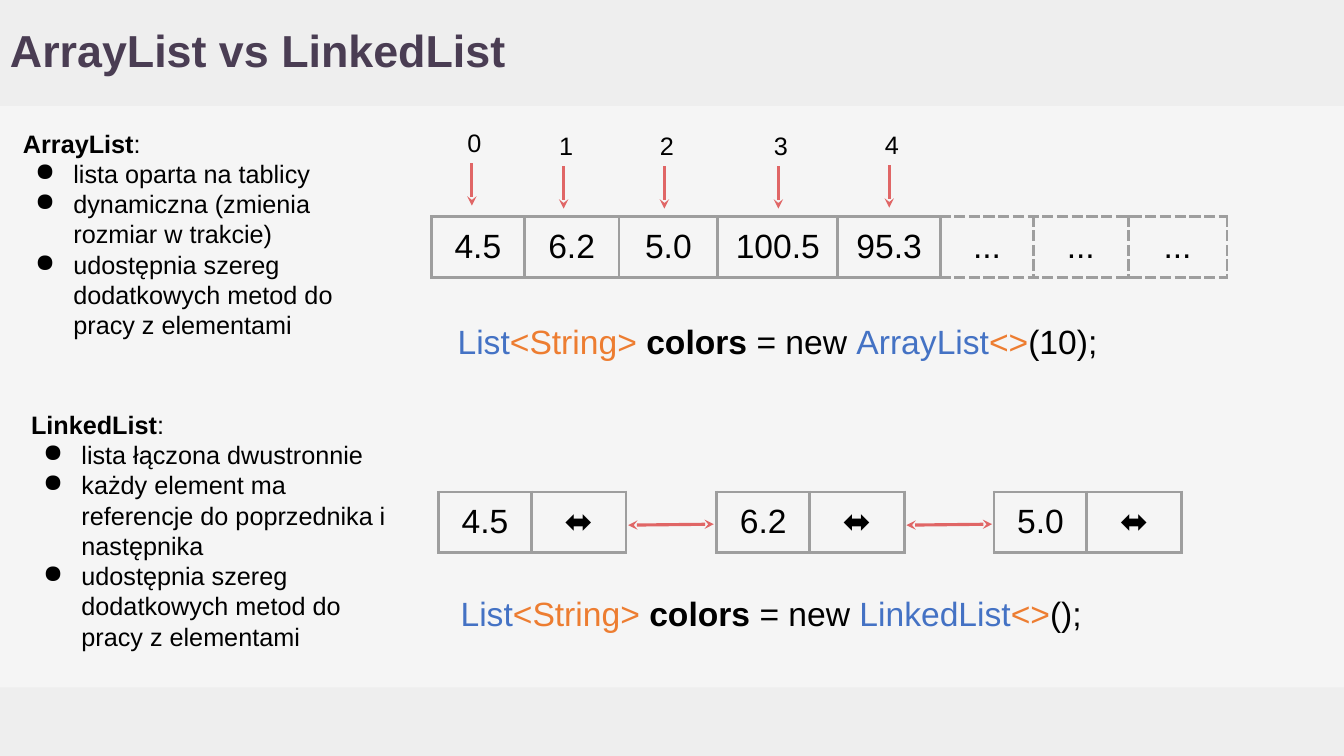
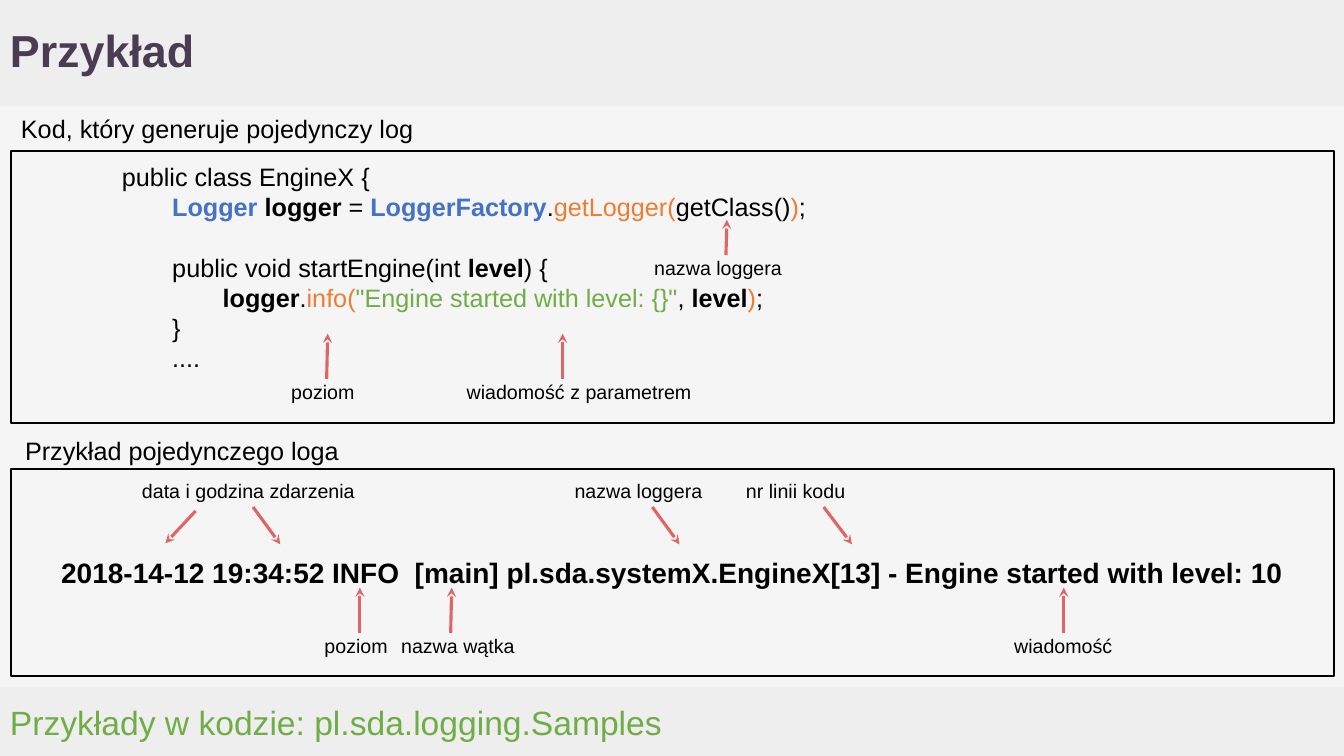
"""Build two slides on Java lists and logging."""
from lxml import etree
from pptx import Presentation
from pptx.dml.color import RGBColor
from pptx.enum.shapes import MSO_CONNECTOR, MSO_SHAPE
from pptx.enum.text import MSO_ANCHOR, PP_ALIGN
from pptx.oxml.ns import qn
from pptx.util import Pt

PX = 9144
WIDTH, HEIGHT = 1333, 750
FONT = "Arial"
COLORS = {
    "page": "F5F5F5", "band": "EEEEEE", "title": "4A3D53", "text": "000000",
    "arrow": "E06666", "grid": "9E9E9E", "blue": "4472C4", "orange": "ED7D31",
    "green": "70AD47",
}
RGB = {name: RGBColor.from_string(value) for name, value in COLORS.items()}
LEFT, CENTER = PP_ALIGN.LEFT, PP_ALIGN.CENTER
TOP, MIDDLE = MSO_ANCHOR.TOP, MSO_ANCHOR.MIDDLE
RECTANGLE, STRAIGHT = MSO_SHAPE.RECTANGLE, MSO_CONNECTOR.STRAIGHT


def write(frame, lines, size, color="text", bold=False, align=LEFT, anchor=TOP,
          indent=0, bullets=False):
    """Fill a frame; a line is a string or a list of (text, color, bold) runs."""
    frame.word_wrap = True
    frame.vertical_anchor = anchor
    frame.margin_left = frame.margin_right = 10 * PX
    frame.margin_top = frame.margin_bottom = 10 * PX
    for number, line in enumerate(lines):
        paragraph = frame.add_paragraph() if number else frame.paragraphs[0]
        paragraph.alignment = align
        properties = paragraph._p.get_or_add_pPr()
        if indent:
            properties.set("marL", str(indent * PX))
        if bullets and number:
            properties.set("marL", str(50 * PX))
            properties.set("indent", str(-38 * PX))
            bullet_color = etree.SubElement(properties, qn("a:buClr"))
            etree.SubElement(bullet_color, qn("a:srgbClr"), val=COLORS["text"])
            etree.SubElement(properties, qn("a:buChar"), char="●")
        font = paragraph.font
        font.name, font.size, font.bold = FONT, Pt(size), bold
        font.color.rgb = RGB[color]
        if isinstance(line, str):
            if line:
                paragraph.add_run().text = line
            continue
        for text, run_color, run_bold in line:
            run = paragraph.add_run()
            run.text = text
            run.font.bold = run_bold
            run.font.color.rgb = RGB[run_color]


def draw_arrow(slide, start_x, start_y, end_x, end_y, ends=("tailEnd",)):
    """Draw a red arrow that points at its end."""
    arrow = slide.shapes.add_connector(
        STRAIGHT, start_x * PX, start_y * PX, end_x * PX, end_y * PX)
    arrow.line.color.rgb = RGB["arrow"]
    arrow.line.width = Pt(2.25)
    properties = arrow._element.spPr
    for end in ends:
        etree.SubElement(properties.find(qn("a:ln")), qn(f"a:{end}"), type="stealth")
    etree.SubElement(properties, qn("a:effectLst"))


prs = Presentation()
prs.slide_width, prs.slide_height = WIDTH * PX, HEIGHT * PX
background = prs.slide_master.background.fill
background.solid()
background.fore_color.rgb = RGB["page"]

slides = []
for title in ("ArrayList vs LinkedList", "Przykład"):
    slide = prs.slides.add_slide(prs.slide_layouts[6])
    for band_top, band_height in ((682, 68), (0, 105)):
        band = slide.shapes.add_shape(
            RECTANGLE, 0, band_top * PX, WIDTH * PX, band_height * PX)
        band.shadow.inherit = False
        band.fill.solid()
        band.fill.fore_color.rgb = RGB["band"]
        band.line.fill.background()
    heading = slide.shapes.add_textbox(0, 0, 1192 * PX, 105 * PX).text_frame
    write(heading, [title], 32, "title", bold=True, anchor=MIDDLE)
    heading.paragraphs[0].line_spacing = 0.9
    slides.append(slide)
lists_slide, logging_slide = slides

SHARED_METHODS = "udostępnia szereg dodatkowych metod do pracy z elementami"
descriptions = [
    (13, 117, 225, "ArrayList",
     ["lista oparta na tablicy", "dynamiczna (zmienia rozmiar w trakcie)"]),
    (21, 396, 271, "LinkedList",
     ["lista łączona dwustronnie",
      "każdy element ma referencje do poprzednika i następnika"]),
]
for left, top, height, name, features in descriptions:
    description = slides[0].shapes.add_textbox(left * PX, top * PX, 376 * PX, height * PX)
    header = [(name, "text", True), (":", "text", False)]
    write(description.text_frame, [header, *features, SHARED_METHODS], 18, bullets=True)

declarations = [(444, 308, "ArrayList", "(10);"), (447, 578, "LinkedList", "();")]
for left, top, name, arguments in declarations:
    declaration = lists_slide.shapes.add_textbox(left * PX, top * PX, 719 * PX, 50 * PX)
    write(declaration.text_frame, [[
        ("List", "blue", False), ("<String> ", "orange", False),
        ("colors ", "text", True), ("= new ", "text", False),
        (name, "blue", False), ("<>", "orange", False), (arguments, "text", False),
    ]], 24)

COLUMN_WIDTHS = [92, 94, 98, 119, 102]
NODE_LEFTS = [435, 711, 986]
arrays = [
    (428, 215, ["4.5", "6.2", "5.0", "100.5", "95.3"], "solid"),
    (933, 215, ["..."] * 3, "dash"),
]
arrays += [(left, 488, [value, "⬌"], "solid")
           for left, value in zip(NODE_LEFTS, ("4.5", "6.2", "5.0"))]
for left, top, values, dash in arrays:
    widths = COLUMN_WIDTHS[:len(values)]
    table = lists_slide.shapes.add_table(
        1, len(values), left * PX, top * PX, sum(widths) * PX, 58 * PX).table
    table.first_row = table.horz_banding = False
    for column, (width, value) in enumerate(zip(widths, values)):
        table.columns[column].width = width * PX
        cell = table.cell(0, column)
        write(cell.text_frame, [value], 24, align=CENTER)
        cell.vertical_anchor = MIDDLE
        cell.margin_left = cell.margin_right = 10 * PX
        cell.margin_top = cell.margin_bottom = 10 * PX
        cell_properties = cell._tc.get_or_add_tcPr()
        for side in ("lnL", "lnR", "lnT", "lnB"):
            border = etree.SubElement(cell_properties, qn(f"a:{side}"), w=str(Pt(2.25)))
            border_fill = etree.SubElement(border, qn("a:solidFill"))
            etree.SubElement(border_fill, qn("a:srgbClr"), val=COLORS["grid"])
            etree.SubElement(border, qn("a:prstDash"), val=dash)
        cell.fill.background()

index_places = [(468, 116), (559, 119), (659, 119), (772, 119), (882, 118)]
for index, (center, top) in enumerate(index_places):
    draw_arrow(lists_slide, center, top + 46, center, top + 88)
    label = lists_slide.shapes.add_textbox(
        (center - 21) * PX, top * PX, 47 * PX, 45 * PX)
    write(label.text_frame, [str(index)], 18, align=CENTER)

for left in NODE_LEFTS[:-1]:
    draw_arrow(lists_slide, left + 188, 521, left + 273, 520, ("headEnd", "tailEnd"))

code = [
    "public class EngineX {",
    [("\tLogger ", "blue", True), ("logger ", "text", True), ("= ", "text", False),
     ("LoggerFactory", "blue", True), (".", "text", False),
     ("getLogger(", "orange", False), ("getClass()", "text", False),
     (")", "orange", False), (";", "text", False)],
    "",
    [("\tpublic void startEngine(int ", "text", False), ("level", "text", True),
     (") {", "text", False)],
    [("\t\tlogger", "text", True), (".", "text", False), ("info(", "orange", False),
     ('"Engine started with level: {}"', "green", False), (", ", "text", False),
     ("level", "text", True), (")", "orange", False), (";", "text", False)],
    "\t}",
    "\t....",
]
log_entry = ["2018-14-12 19:34:52 INFO  [main] pl.sda.systemX.EngineX[13]"
             " - Engine started with level: 10"]
panels = [
    (150, 270, code, {"size": 18, "indent": 100}),
    (465, 206, log_entry,
     {"size": 20, "bold": True, "align": CENTER, "anchor": MIDDLE}),
]
for top, height, lines, style in panels:
    panel = logging_slide.shapes.add_shape(
        RECTANGLE, 11 * PX, top * PX, 1312 * PX, height * PX)
    panel.shadow.inherit = False
    panel.fill.background()
    panel.line.color.rgb = RGB["text"]
    panel.line.width = Pt(1.5)
    write(panel.text_frame, lines, **style)

captions = [
    (11, 102, 436, "Kod, który generuje pojedynczy log", 18, "text"),
    (15, 422, 353, "Przykład pojedynczego loga", 18, "text"),
    (639, 244, 147, "nazwa loggera", 14, "text"),
    (279, 367, 90, "poziom", 14, "text"),
    (453, 367, 254, "wiadomość z parametrem", 14, "text"),
    (131, 465, 237, "data i godzina zdarzenia", 14, "text"),
    (560, 465, 152, "nazwa loggera", 14, "text"),
    (730, 465, 152, "nr linii kodu", 14, "text"),
    (312, 619, 90, "poziom", 14, "text"),
    (388, 619, 139, "nazwa wątka", 14, "text"),
    (996, 619, 124, "wiadomość", 14, "text"),
    (0, 686, 1031, "Przykłady w kodzie: pl.sda.logging.Samples", 24, "green"),
]
for left, top, width, text, size, color in captions:
    caption = logging_slide.shapes.add_textbox(left * PX, top * PX, width * PX, 31 * PX)
    write(caption.text_frame, [text], size, color)

pointers = [
    (720, 253, 721, 218), (324, 376, 325, 331), (558, 376, 558, 331),
    (194, 507, 164, 539), (251, 503, 278, 540), (647, 503, 674, 540),
    (817, 503, 845, 540), (357, 628, 357, 583), (447, 628, 448, 583),
    (1055, 628, 1055, 583),
]
for pointer in pointers:
    draw_arrow(logging_slide, *pointer)

prs.save("out.pptx")
